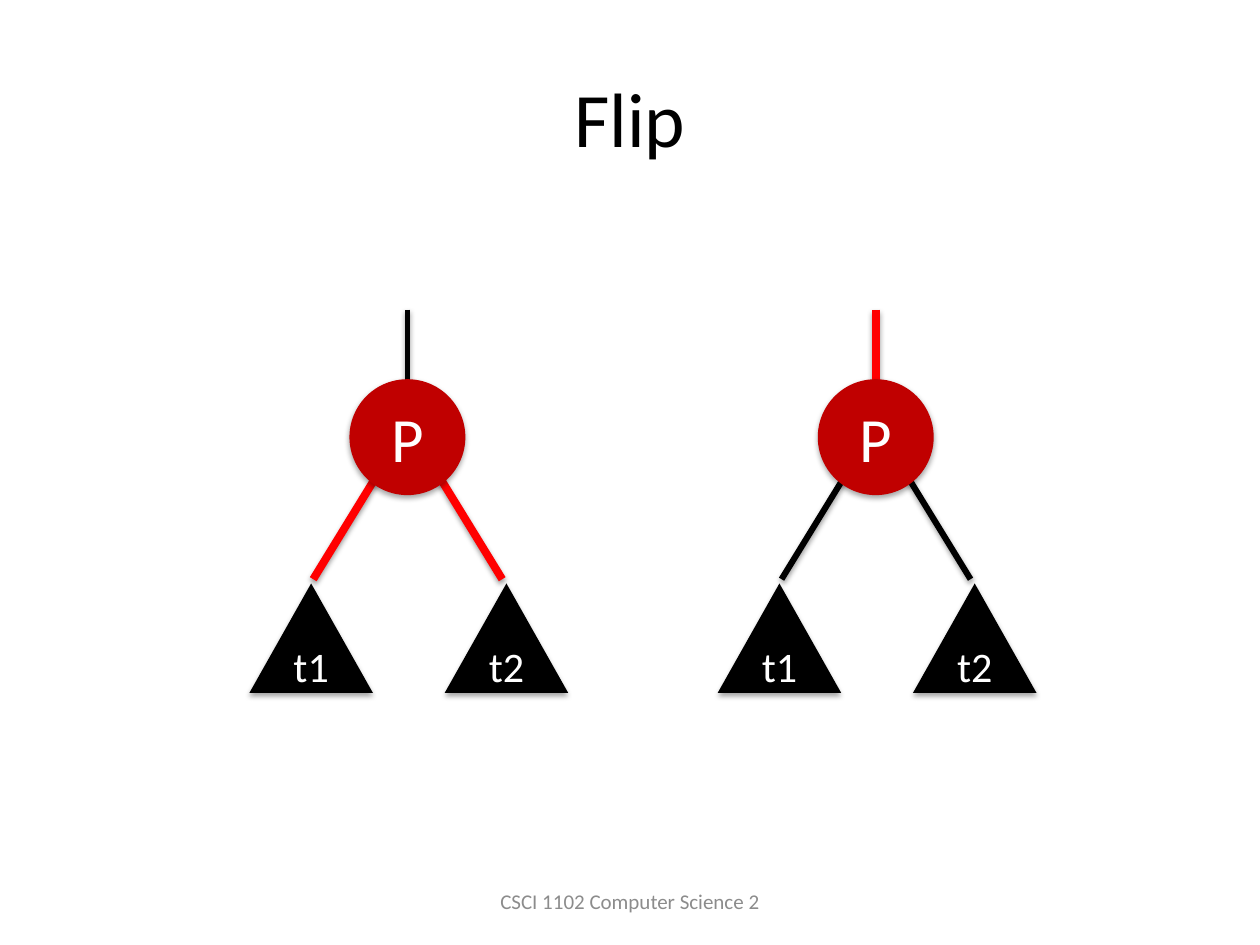
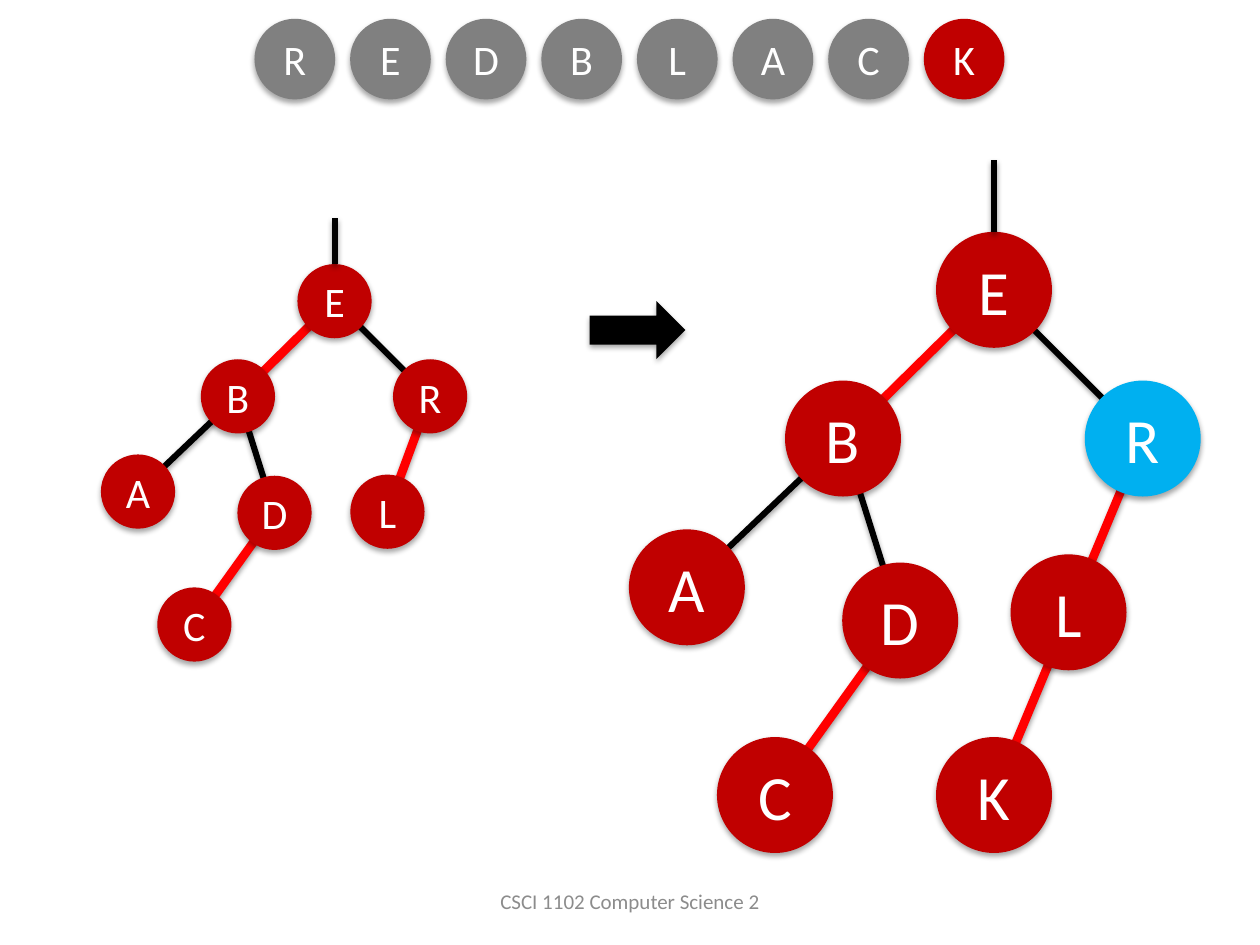
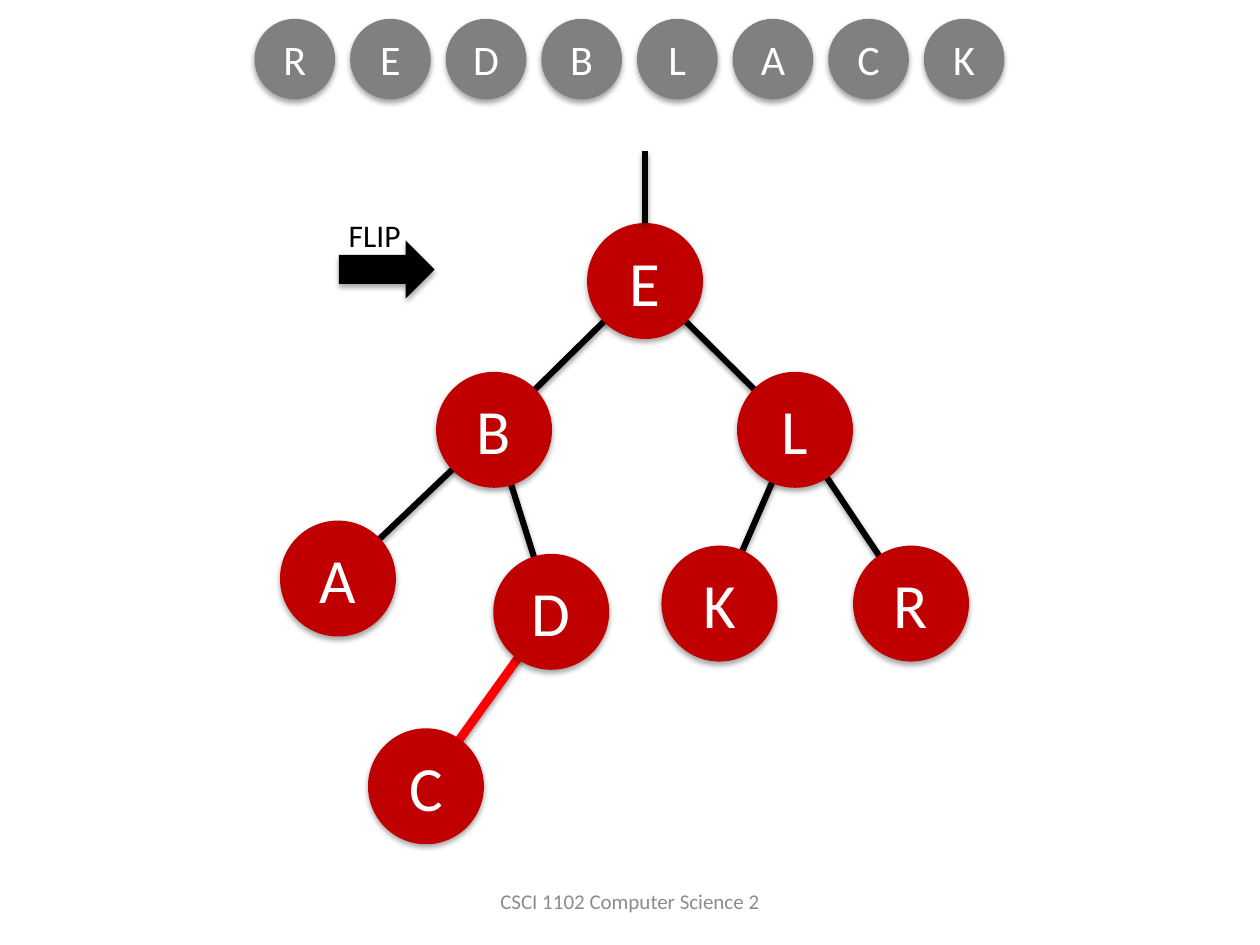
from pptx import Presentation
from pptx.dml.color import RGBColor
from pptx.enum.shapes import MSO_CONNECTOR, MSO_SHAPE
from pptx.enum.text import MSO_ANCHOR, PP_ALIGN
from pptx.util import Pt

STRAIGHT = MSO_CONNECTOR.STRAIGHT
CIRCLE = MSO_SHAPE.OVAL
TRIANGLE = MSO_SHAPE.ISOSCELES_TRIANGLE
ARROW = MSO_SHAPE.RIGHT_ARROW
TOP, MIDDLE = MSO_ANCHOR.TOP, MSO_ANCHOR.MIDDLE
LEFT, CENTER = PP_ALIGN.LEFT, PP_ALIGN.CENTER


class Theme:
    font = "Calibri"
    black = RGBColor(0x00, 0x00, 0x00)
    white = RGBColor(0xFF, 0xFF, 0xFF)
    node = RGBColor(0xC0, 0x00, 0x00)
    red_link = RGBColor(0xFF, 0x00, 0x00)
    inserted = RGBColor(0x80, 0x80, 0x80)
    unbalanced = RGBColor(0x00, 0xB0, 0xF0)
    footer = RGBColor(0x8C, 0x8C, 0x8C)
    title_size, node_size, small_size, label_size, footer_size = 44, 36, 24, 18, 12
    thin, black_width, flip_red_width, red_width = 2.75, 3.5, 4.5, 5


def add_mark(page, kind, center, size, fill, text="", text_size=Theme.small_size):
    """Filled shape around a centre; it keeps the soft shadow of the theme."""
    (x, y), (width, height) = center, size
    mark = page.shapes.add_shape(
        kind, Pt(x - width / 2), Pt(y - height / 2), Pt(width), Pt(height))
    mark.fill.solid()
    mark.fill.fore_color.rgb = fill
    mark.line.fill.background()
    if text:
        frame = mark.text_frame
        frame.text = text
        frame.margin_left = frame.margin_right = 0
        frame.vertical_anchor = MIDDLE
        para = frame.paragraphs[0]
        para.alignment = CENTER
        para.font.name = Theme.font
        para.font.size = Pt(text_size)
        para.font.color.rgb = Theme.white
    return mark


def add_link(page, start, end, color, width):
    """Straight tree link; it keeps the soft shadow of the theme."""
    link = page.shapes.add_connector(STRAIGHT, *map(Pt, (*start, *end)))
    link.line.color.rgb = color
    link.line.width = Pt(width)
    return link


deck = Presentation()
deck.slide_width, deck.slide_height = Pt(720), Pt(540)
blank = deck.slide_layouts[6]
flip_page, insert_page, result_page = [deck.slides.add_slide(blank) for _ in range(3)]

DIAMETER = 66.24

# Flip: the same small tree before and after the colours change
before = (Theme.black, Theme.thin, Theme.red_link, Theme.flip_red_width)
after = (Theme.red_link, Theme.flip_red_width, Theme.black, Theme.black_width)
for x, (stem_color, stem_width, child_color, child_width) in ((233, before), (500.6, after)):
    add_link(flip_page, (x, 177), (x, 232.5), stem_color, stem_width)
    for side in (-1, 1):
        add_link(flip_page, (x, 243), (x + side * 54, 331), child_color, child_width)
    add_mark(flip_page, CIRCLE, (x - 0.2, 249.8), (DIAMETER, DIAMETER),
             Theme.node, "P", Theme.node_size)
    for side, name in ((-1, "t1"), (1, "t2")):
        add_mark(flip_page, TRIANGLE, (x + 0.6 + side * 55.8, 364.7), (70.6, 62.6),
                 Theme.black, name)

# Search trees: node offsets from the root at full scale
left_nodes = {"E": (0, 0), "B": (-86.3, 85), "A": (-175.5, 170),
              "D": (-53.6, 189), "C": (-125.2, 288.7)}
left_links = ["EB", "BA", "BD", "DC"]
trees = [
    # page, root centre, scale, text size, right-hand nodes, right links, red links, blue nodes
    (insert_page, (191.2, 172.1), 0.64, Theme.small_size,
     {"R": (85.3, 85), "L": (47.2, 188)}, ["ER", "RL"], ["EB", "DC", "RL"], ""),
    (insert_page, (568, 165.6), 1, Theme.node_size,
     {"R": (85, 85), "L": (42.6, 184.3), "K": (0, 288.7)},
     ["ER", "RK"], ["EB", "DC", "RK"], "R"),
    (result_page, (368.6, 160.6), 1, Theme.node_size,
     {"L": (85.7, 85), "K": (42.5, 184.3), "R": (152, 184.3)},
     ["EL", "LK", "LR"], ["DC"], ""),
]
for page, (root_x, root_y), scale, text_size, right_nodes, right_links, red, blue in trees:
    centers = {name: (root_x + dx * scale, root_y + dy * scale)
               for name, (dx, dy) in (left_nodes | right_nodes).items()}
    for pair in left_links + right_links:
        parent, child = pair
        color, width = ((Theme.red_link, Theme.red_width) if pair in red
                        else (Theme.black, Theme.black_width))
        add_link(page, centers[parent], centers[child], color, width)
    circles = {}
    for name, center in centers.items():
        fill = Theme.unbalanced if name in blue else Theme.node
        circles[name] = add_mark(page, CIRCLE, center, (DIAMETER * scale, DIAMETER * scale),
                                 fill, name, text_size)
    root_top = root_y - DIAMETER * scale / 2
    stem = add_link(page, (root_x, root_top - 41 * scale), (root_x, root_top),
                    Theme.black, Theme.black_width)
    stem.end_connect(circles["E"], 0)

# Row of keys, with the key being inserted in red
for page, current in ((insert_page, "K"), (result_page, "")):
    for column, key in enumerate("REDBLACK"):
        add_mark(page, CIRCLE, (168.5 + column * 54.64, 33.8), (46.1, 46.1),
                 Theme.node if key == current else Theme.inserted, key)

# Step arrows
for page, center in ((insert_page, (364.3, 188.6)), (result_page, (221, 154))):
    add_mark(page, ARROW, center, (54.7, 33.1), Theme.black)

# Title, step label and footers
labels = [
    (flip_page, "Flip", (36, 21.6, 648, 90), Theme.title_size, Theme.black, CENTER, MIDDLE, True),
    (result_page, "FLIP", (192.2, 120.2, 44.6, 28.8), Theme.label_size, Theme.black,
     LEFT, TOP, False),
]
labels += [(page, "CSCI 1102 Computer Science 2", (246, 500.4, 228, 28.8),
            Theme.footer_size, Theme.footer, CENTER, MIDDLE, True) for page in deck.slides]
for page, text, place, size, color, alignment, anchor, wrap in labels:
    frame = page.shapes.add_textbox(*map(Pt, place)).text_frame
    frame.text = text
    frame.word_wrap = wrap
    frame.vertical_anchor = anchor
    para = frame.paragraphs[0]
    para.alignment = alignment
    para.font.name = Theme.font
    para.font.size = Pt(size)
    para.font.color.rgb = color

deck.save("out.pptx")
